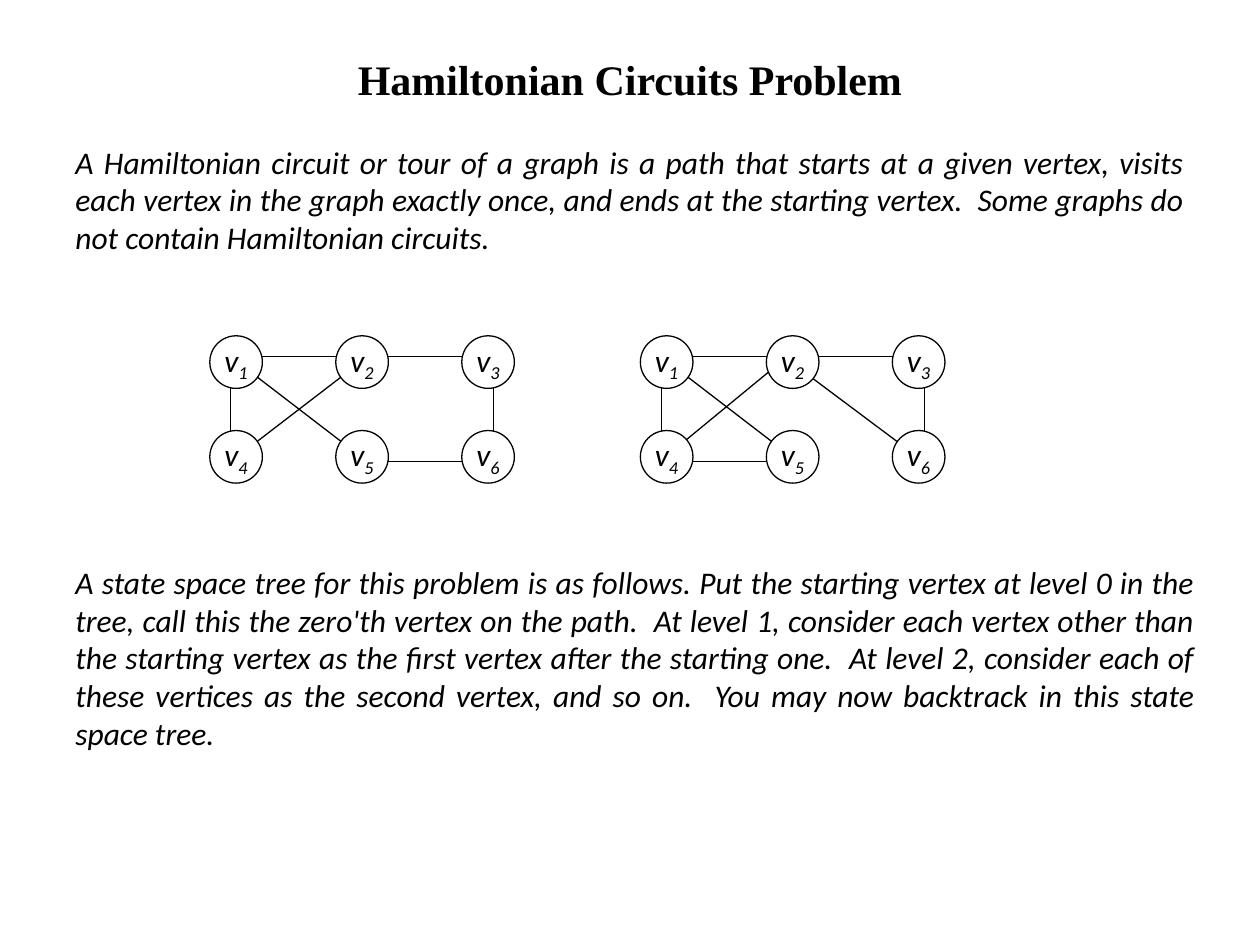
import pptx
import pptx.util
import pptx.dml.color
import pptx.enum.shapes
import pptx.enum.text
import lxml.etree
from dataclasses import dataclass
from pptx.util import Cm, Pt

BLACK = pptx.dml.color.RGBColor(0, 0, 0)
WHITE = pptx.dml.color.RGBColor(255, 255, 255)
ALIGN = pptx.enum.text.PP_ALIGN
ANCHOR = pptx.enum.text.MSO_ANCHOR
FIT = pptx.enum.text.MSO_AUTO_SIZE
KIND = pptx.enum.shapes.MSO_SHAPE
LINE = pptx.enum.shapes.MSO_CONNECTOR
EFFECTS = "{http://schemas.openxmlformats.org/drawingml/2006/main}effectLst"

# Grid of vertices in centimetres: three columns, two rows
COLS, COL_STEP, ROW_STEP, SIZE = 3, 2.54, 1.91, 1.06
TOP = 6.77
# Edge ends, measured from the corner of a graph
X1, X2, X3 = 0.42, 3.18, 5.72
Y1, Y2 = 0.42, 2.54


@dataclass
class Graph:
    left: float
    edges: list[tuple[float, float, float, float]]


@dataclass
class Block:
    text: str
    top: float
    width: float
    height: float


GRAPHS = [
    Graph(4.23, [
        (X1, Y1, X3, Y1), (X1, Y1, X1, Y2), (X1, Y2, X2, Y1),
        (X1, Y1, X2, Y2), (X3, Y1, X3, Y2), (X3, Y2, X2, Y2),
    ]),
    Graph(12.91, [
        (2.96, Y1, 0.64, 2.33), (X1, Y1, X3, Y1), (X1, Y1, X1, Y2),
        (X1, Y2, 2.96, Y2), (X1, Y1, X2, Y2), (X3, Y1, X3, Y2),
        (X3, Y2, X2, 0.64),
    ]),
]

BLOCKS = [
    Block("A Hamiltonian circuit or tour of a graph is a path that starts at "
          "a given vertex, visits each vertex in the graph exactly once, and "
          "ends at the starting vertex.  Some graphs do not contain "
          "Hamiltonian circuits.", 2.75, 22.86, 2.54),
    Block("A state space tree for this problem is as follows. Put the "
          "starting vertex at level 0 in the tree, call this the zero'th "
          "vertex on the path.  At level 1, consider each vertex other than "
          "the starting vertex as the first vertex after the starting one.  "
          "At level 2, consider each of these vertices as the second vertex, "
          "and so on.  You may now backtrack in this state space tree.",
          11.22, 23.07, 4.06),
]


def style(para, name: str, size: int, align) -> None:
    para.alignment = align
    para.font.name = name
    para.font.size = Pt(size)
    para.font.color.rgb = BLACK


def draw_title(slide, text: str) -> None:
    box = slide.shapes.add_textbox(Cm(1.9), Cm(0.85), Cm(21.6), Cm(1.48))
    frame = box.text_frame
    frame.word_wrap = True
    frame.vertical_anchor = ANCHOR.MIDDLE
    para = frame.paragraphs[0]
    para.text = text
    style(para, "Times New Roman", 24, ALIGN.CENTER)
    para.font.bold = True


def draw_block(slide, block: Block) -> None:
    box = slide.shapes.add_textbox(
        Cm(1.27), Cm(block.top), Cm(block.width), Cm(block.height))
    frame = box.text_frame
    frame.word_wrap = True
    frame.auto_size = FIT.SHAPE_TO_FIT_TEXT
    para = frame.paragraphs[0]
    para.text = block.text
    style(para, "Calibri", 18, ALIGN.JUSTIFY)
    para.font.italic = True


def draw_edge(slide, x1: float, y1: float, x2: float, y2: float) -> None:
    edge = slide.shapes.add_connector(
        LINE.STRAIGHT, Cm(x1), Cm(y1), Cm(x2), Cm(y2))
    edge.line.color.rgb = BLACK
    edge.line.width = Pt(0.75)
    lxml.etree.SubElement(edge._element.spPr, EFFECTS)


def draw_vertex(slide, left: float, top: float, num: int) -> None:
    disc = slide.shapes.add_shape(
        KIND.OVAL, Cm(left), Cm(top), Cm(SIZE), Cm(SIZE))
    disc.shadow.inherit = False
    disc.fill.solid()
    disc.fill.fore_color.rgb = WHITE
    disc.line.color.rgb = BLACK
    disc.line.width = Pt(0.75)
    frame = disc.text_frame
    frame.word_wrap = False
    frame.vertical_anchor = ANCHOR.MIDDLE
    para = frame.paragraphs[0]
    style(para, "Calibri", 18, ALIGN.CENTER)
    para.font.italic = True
    para.add_run().text = "v"
    sub = para.add_run()
    sub.text = str(num)
    sub._r.get_or_add_rPr().set("baseline", "-25000")


def draw_graph(slide, graph: Graph) -> None:
    for x1, y1, x2, y2 in graph.edges:
        draw_edge(slide, graph.left + x1, TOP + y1, graph.left + x2, TOP + y2)
    for i in range(2 * COLS):
        row, col = divmod(i, COLS)
        draw_vertex(slide, graph.left + col * COL_STEP,
                    TOP + row * ROW_STEP, i + 1)


def main() -> None:
    deck = pptx.Presentation()
    deck.slide_width, deck.slide_height = Cm(25.4), Cm(19.05)
    slide = deck.slides.add_slide(deck.slide_layouts[6])

    # Title and paragraphs
    draw_title(slide, "Hamiltonian Circuits Problem")
    for block in BLOCKS:
        draw_block(slide, block)

    # Two example graphs
    for graph in GRAPHS:
        draw_graph(slide, graph)

    deck.save("out.pptx")


if __name__ == "__main__":
    main()
